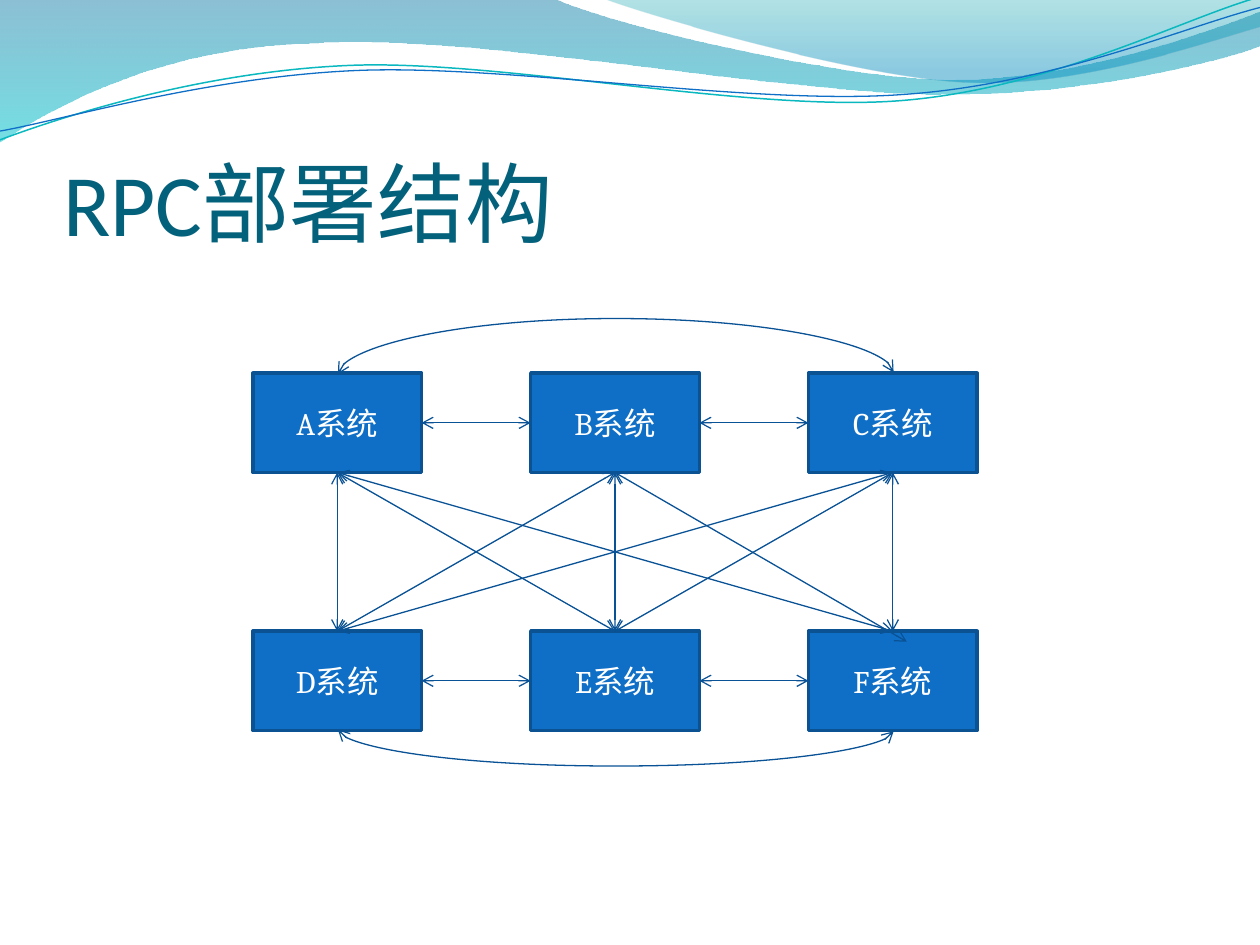
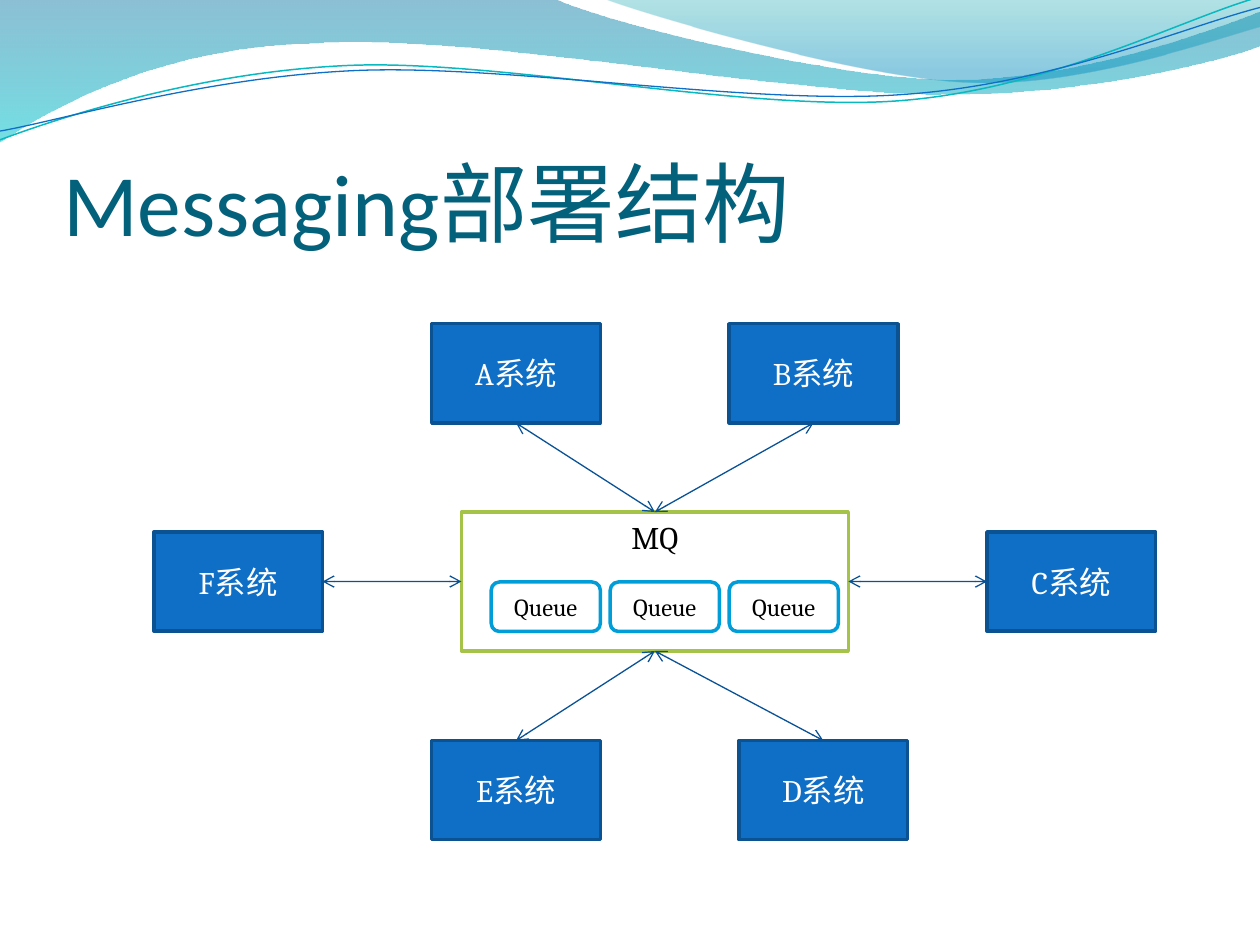
from dataclasses import dataclass
from math import cos, radians, sin
from typing import NamedTuple

from lxml.etree import SubElement
from pptx import Presentation
from pptx.dml.color import RGBColor
from pptx.enum.shapes import MSO_CONNECTOR as Link, MSO_SHAPE as Preset
from pptx.enum.text import MSO_ANCHOR as Anchor, MSO_AUTO_SIZE as AutoSize, PP_ALIGN as Align
from pptx.oxml.ns import qn
from pptx.util import Pt

TITLE_ONLY = 5
TOP, LEFT, BOTTOM, RIGHT = range(4)  # connection sites of a rectangle


@dataclass(frozen=True)
class Theme:
    """Colours, fonts and type sizes of the deck."""
    title: str = "04617B"
    box: str = "0F6FC6"
    box_edge: str = "0B5292"
    link: str = "095295"
    broker_edge: str = "A5C249"
    queue_edge: str = "009DD9"
    teal_wave: str = "0AB8BF"
    white: str = "FFFFFF"
    black: str = "000000"
    title_font: str = "Calibri"
    body_font: str = "Cambria"
    title_size: float = 50
    body_size: float = 18
    queue_size: float = 14
    edge_width: float = 2
    link_width: float = 0.75


THEME = Theme()


class BoxStyle(NamedTuple):
    """Look of one kind of box."""
    preset: Preset
    width: float
    height: float
    fill: str
    edge: str
    ink: str
    size: float
    anchor: Anchor = Anchor.MIDDLE


class Stop(NamedTuple):
    """Gradient stop with its opacity in percent."""
    position: float
    colour: str
    opacity: int


class Wave(NamedTuple):
    """Outline in points: 2 numbers make a line, 6 make a Bezier curve."""
    start: tuple
    segments: tuple
    gradient: tuple = ()
    line: str = ""
    width: float = 0
    tilt: float = 0
    pivot: tuple = (0, 0)


SYSTEM = BoxStyle(Preset.RECTANGLE, 96.4, 56.7, THEME.box, THEME.box_edge,
                  THEME.white, THEME.body_size)
BROKER = BoxStyle(Preset.RECTANGLE, 221.1, 79.4, THEME.white, THEME.broker_edge,
                  THEME.black, THEME.body_size, Anchor.TOP)
QUEUE = BoxStyle(Preset.ROUNDED_RECTANGLE, 62.4, 28.3, THEME.white, THEME.queue_edge,
                 THEME.black, THEME.queue_size)

WAVES = (
    Wave((0, 0), ((316.8, -0.7),
                  (342.7, 12.2, 478.1, 45.4, 545.8, 45.4),
                  (614.2, 45.4, 689.8, 18.7, 720, 6.5),
                  (720.7, 25.9),
                  (707.8, 31.7, 626.4, 54.7, 537.1, 54),
                  (447.8, 54, 275, 20.2, 185, 24.5),
                  (92.9, 25.9, 33.1, 59.8, -0.7, 81.4),
                  (0, 0)),
         gradient=(Stop(0, "0074A1", 45), Stop(1, "00C6CF", 55))),
    Wave((344.9, -0.7), ((366.5, 7.9, 491, 44.6, 553.7, 46.8),
                         (616.3, 49.7, 691.9, 23, 720, 15.1),
                         (720, 0),
                         (344.9, -0.7)),
         gradient=(Stop(0, "00A1A9", 30), Stop(0.8, "008BBF", 45))),
    Wave((0, 79.9), ((34.6, 67, 113.8, 41, 199.4, 37.4),
                     (284.4, 33.8, 427, 64.1, 513.4, 57.6),
                     (599.8, 51.1, 675.4, 10.8, 718.6, -1.4)),
         line=THEME.teal_wave, width=0.85, tilt=-2.7, pivot=(359.3, 41.4)),
    Wave((0, 74.9), ((33.8, 69.1, 118.1, 43.9, 203.8, 40.3),
                     (290.2, 36.7, 429.8, 60.5, 516.2, 54),
                     (601.9, 48.2, 677.5, 15.1, 720, 4.3)),
         line=THEME.box, width=0.75, tilt=-2.7, pivot=(359.6, 42.5)),
)


def rgb(colour: str) -> RGBColor:
    """Turn a hex string into a colour."""
    return RGBColor.from_string(colour)


def level_point(wave: Wave, x: float, y: float) -> tuple:
    """Turn a point back by the tilt that the whole shape gets later."""
    angle = radians(-wave.tilt)
    dx, dy = x - wave.pivot[0], y - wave.pivot[1]
    return (Pt(wave.pivot[0] + dx * cos(angle) - dy * sin(angle)),
            Pt(wave.pivot[1] + dx * sin(angle) + dy * cos(angle)))


def bend(shape, segments: tuple) -> None:
    """Merge each three vertices of a curved segment into one Bezier curve."""
    vertices = iter(list(shape.element.spPr.iter(qn("a:lnTo"))))
    for segment in segments:
        first = next(vertices)
        if len(segment) == 2:
            continue
        outline = first.getparent()
        curve = SubElement(outline, qn("a:cubicBezTo"))
        first.addprevious(curve)
        for vertex in (first, next(vertices), next(vertices)):
            curve.append(vertex[0])
            outline.remove(vertex)


def draw_wave(slide, wave: Wave):
    """Draw one wave of the header band and return its shape."""
    vertices = [level_point(wave, *segment[i:i + 2])
                for segment in wave.segments for i in range(0, len(segment), 2)]
    builder = slide.shapes.build_freeform(*level_point(wave, *wave.start))
    builder.add_line_segments(vertices, close=bool(wave.gradient))
    shape = builder.convert_to_shape()
    bend(shape, wave.segments)
    shape.rotation = wave.tilt
    shape.shadow.inherit = False
    if not wave.gradient:
        shape.fill.background()
        shape.line.color.rgb = rgb(wave.line)
        shape.line.width = Pt(wave.width)
        return shape
    shape.line.fill.background()
    shape.fill.gradient()
    shape.fill.gradient_angle = 270
    for stop, target in zip(wave.gradient, shape.fill.gradient_stops):
        target.position = stop.position
        target.color.rgb = rgb(stop.colour)
    for stop, colour in zip(wave.gradient, shape.element.spPr.iter(qn("a:srgbClr"))):
        SubElement(colour, qn("a:alpha"), val=str(stop.opacity * 1000))
    return shape


def put_waves_on_layout(slide) -> None:
    """Draw the header band and hand it to the layout, so every slide shares it."""
    for number, wave in enumerate(WAVES):
        element = draw_wave(slide, wave).element
        element.nvSpPr.cNvPr.set("id", str(100 + number))
        slide.slide_layout.shapes.element.append(element)


def style_runs(frame, font: str, size: float, colour: str) -> None:
    """Set font, size and colour of every run in a text frame."""
    for paragraph in frame.paragraphs:
        for run in paragraph.runs:
            run.font.name = font
            run.font.size = Pt(size)
            run.font.color.rgb = rgb(colour)


def add_titled_slide(deck, text: str):
    """Add a slide with the shared title style."""
    slide = deck.slides.add_slide(deck.slide_layouts[TITLE_ONLY])
    title = slide.shapes.title
    title.left, title.top, title.width, title.height = Pt(36), Pt(55.4), Pt(648), Pt(90)
    frame = title.text_frame
    frame.text = text
    frame.auto_size = AutoSize.NONE
    frame.word_wrap = True
    frame.vertical_anchor = Anchor.BOTTOM
    frame.margin_left = frame.margin_right = frame.margin_bottom = Pt(0)
    frame.margin_top = Pt(3.6)
    frame.paragraphs[0].alignment = Align.LEFT
    style_runs(frame, THEME.title_font, THEME.title_size, THEME.title)
    return slide


def add_box(slide, style: BoxStyle, left: float, top: float, text: str):
    """Add a labelled box."""
    box = slide.shapes.add_shape(style.preset, Pt(left), Pt(top),
                                 Pt(style.width), Pt(style.height))
    box.shadow.inherit = False
    box.fill.solid()
    box.fill.fore_color.rgb = rgb(style.fill)
    box.line.color.rgb = rgb(style.edge)
    box.line.width = Pt(THEME.edge_width)
    frame = box.text_frame
    frame.text = text
    frame.word_wrap = True
    frame.vertical_anchor = style.anchor
    frame.paragraphs[0].alignment = Align.CENTER
    style_runs(frame, THEME.body_font, style.size, style.ink)
    return box


def add_system(slide, letter: str, left: float, top: float):
    """Add the box of one system."""
    return add_box(slide, SYSTEM, left, top, f"{letter}系统")


def style_link(link) -> None:
    """Give a connector the shared line with open arrows at both ends."""
    link.line.color.rgb = rgb(THEME.link)
    link.line.width = Pt(THEME.link_width)
    line = link.element.spPr.find(qn("a:ln"))
    for end in ("a:headEnd", "a:tailEnd"):
        SubElement(line, qn(end), type="arrow")
    SubElement(link.element.spPr, qn("a:effectLst"))


def join(slide, source, source_site: int, target, target_site: int):
    """Glue a straight two-way arrow to two boxes."""
    link = slide.shapes.add_connector(Link.STRAIGHT, 0, 0, 0, 0)
    link.begin_connect(source, source_site)
    link.end_connect(target, target_site)
    style_link(link)
    return link


def add_arc(slide, centre_x: float, y: float, span: float, reach: int, above: bool) -> None:
    """Add a curved two-way arrow, a 1 pt wide connector turned by a quarter."""
    upper, lower = Pt(y - span / 2), Pt(y + span / 2)
    begin_y, end_y = (lower, upper) if above else (upper, lower)
    arc = slide.shapes.add_connector(Link.CURVE, Pt(centre_x + 0.5), begin_y,
                                     Pt(centre_x - 0.5), end_y)
    properties = arc.element.spPr
    properties.find(qn("a:xfrm")).set("rot", str((90 if above else 270) * 60000))
    adjustments = properties.find(qn("a:prstGeom")).find(qn("a:avLst"))
    SubElement(adjustments, qn("a:gd"), name="adj1", fmla=f"val {reach * 100000}")
    style_link(arc)


def build_rpc(slide) -> None:
    """Draw six systems that all call each other."""
    left, top, column_step, row_step = 144.5, 213.3, 158.75, 147.4
    upper, lower = [
        [add_system(slide, letter, left + column * column_step, top + row * row_step)
         for column, letter in enumerate(letters)]
        for row, letters in enumerate(("ABC", "DEF"))]
    for row in (upper, lower):
        for source, target in zip(row, row[1:]):
            join(slide, source, RIGHT, target, LEFT)
    for source in upper:
        for target in lower:
            link = join(slide, source, BOTTOM, target, TOP)
            if source is upper[1] and target is lower[2]:
                link.end_x += Pt(8)  # this arrow ends inside the F box
                link.end_y += Pt(6)
    centre = left + column_step + SYSTEM.width / 2 + 0.4
    add_arc(slide, centre, top, 2 * column_step, 32, above=True)
    add_arc(slide, centre, top + row_step + SYSTEM.height, 2 * column_step, 21, above=False)


def build_messaging(slide) -> None:
    """Draw six systems around a message queue broker."""
    broker = add_box(slide, BROKER, 263.7, 292.6, "MQ")
    for index in range(3):
        add_box(slide, QUEUE, 280.7 + index * 68, 332.6, "Queue")
    upper_row, middle_row, lower_row = 185, 304, 423.2
    spokes = (
        ("A", 246.7, upper_row, BOTTOM, TOP),
        ("B", 416.7, upper_row, BOTTOM, TOP),
        ("C", 564, middle_row, LEFT, RIGHT),
        ("D", 422.3, lower_row, TOP, BOTTOM),
        ("E", 246.7, lower_row, TOP, BOTTOM),
        ("F", 87.9, middle_row, RIGHT, LEFT),
    )
    for letter, left, top, system_site, broker_site in spokes:
        system = add_system(slide, letter, left, top)
        join(slide, system, system_site, broker, broker_site)


def main() -> None:
    """Build the deck."""
    deck = Presentation()
    deck.slide_width, deck.slide_height = Pt(720), Pt(540)
    rpc = add_titled_slide(deck, "RPC部署结构")
    put_waves_on_layout(rpc)
    build_rpc(rpc)
    build_messaging(add_titled_slide(deck, "Messaging部署结构"))
    deck.save("out.pptx")


main()
